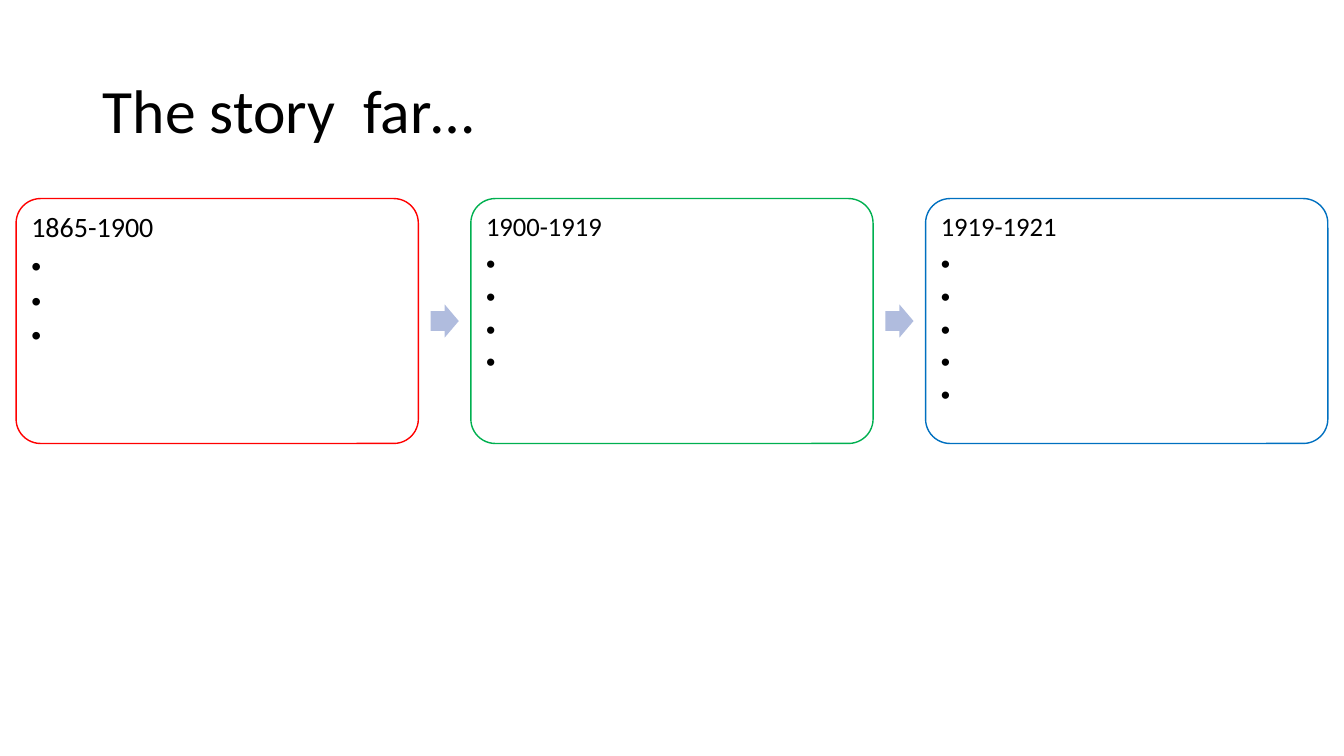
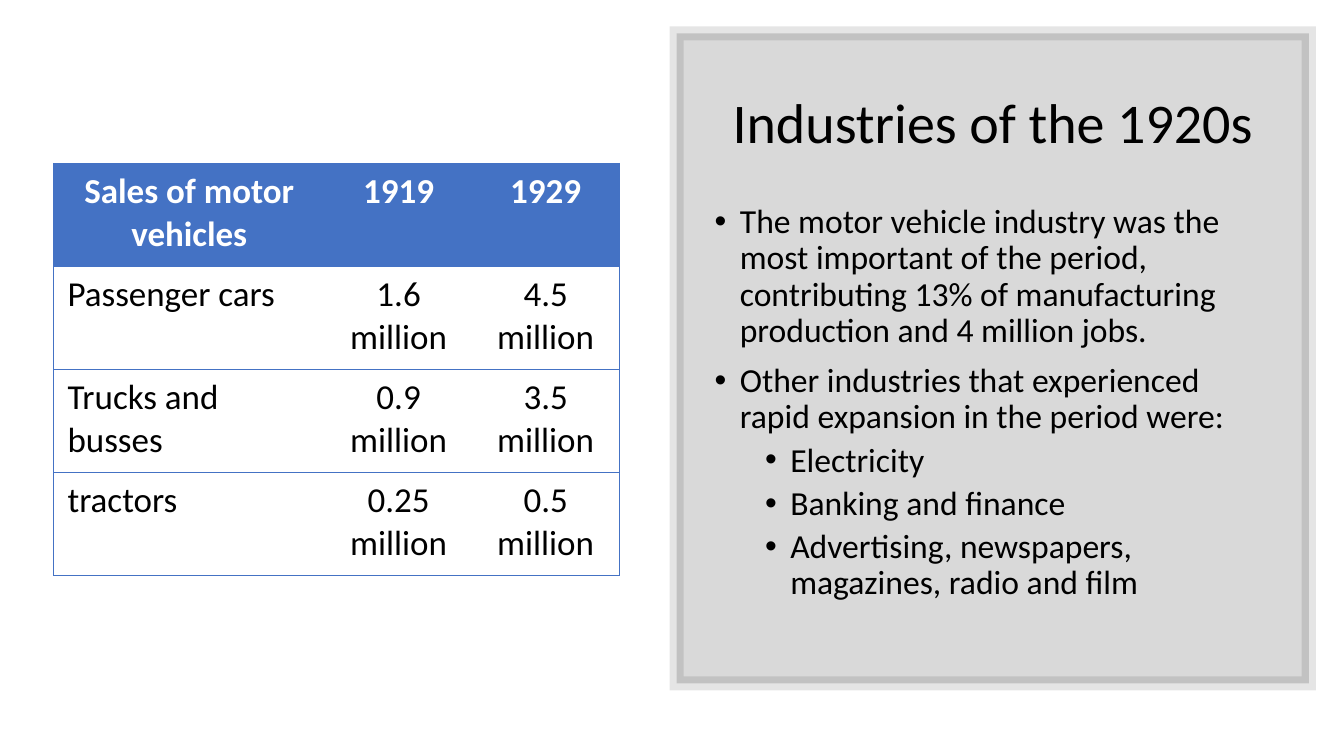
from dataclasses import dataclass
from typing import Any

import lxml.etree
import pptx
import pptx.dml.color
import pptx.enum.shapes
import pptx.enum.text
import pptx.oxml.ns
import pptx.util

WIDE = pptx.util.Inches(13.33)
HIGH = pptx.util.Inches(7.5)
FONT = "Calibri"
BLACK, WHITE, BLUE, PALE = "000000", "FFFFFF", "4472C4", "B0BCDE"
ALIGN = pptx.enum.text.PP_ALIGN
ANCHOR = pptx.enum.text.MSO_ANCHOR
SHAPE = pptx.enum.shapes.MSO_SHAPE
Inch = pptx.util.Inches
Pt = pptx.util.Pt
qn = pptx.oxml.ns.qn


@dataclass(frozen=True)
class Area:
    """A rectangle in percent of the slide's width and height."""
    left: float
    top: float
    width: float
    height: float

    def emu(self) -> tuple[int, int, int, int]:
        return (int(WIDE * self.left / 100), int(HIGH * self.top / 100),
                int(WIDE * self.width / 100), int(HIGH * self.height / 100))


@dataclass(frozen=True)
class Era:
    years: str
    color: str
    size: int
    points: int
    indent: float


@dataclass(frozen=True)
class Point:
    text: str
    level: int = 0


ERAS = [
    Era("1865-1900", "FF0000", 20, 3, 0.25),
    Era("1900-1919", "00B050", 19, 4, 0.19),
    Era("1919-1921", "0070C0", 19, 5, 0.19),
]
POINTS = [
    Point("The motor vehicle industry was the most important of the period, "
          "contributing 13% of manufacturing production and 4 million jobs."),
    Point("Other industries that experienced rapid expansion in the period were:"),
    Point("Electricity", 1),
    Point("Banking and finance", 1),
    Point("Advertising, newspapers, magazines, radio and film", 1),
]
SALES = [
    ("Sales of motor vehicles", "1919", "1929"),
    ("Passenger cars", "1.6 million", "4.5 million"),
    ("Trucks and busses", "0.9 million", "3.5 million"),
    ("tractors", "0.25 million", "0.5 million"),
]
SHARES = (0.48, 0.26, 0.26)


def rgb(color: str) -> pptx.dml.color.RGBColor:
    return pptx.dml.color.RGBColor.from_string(color)


def paint(fill: Any, color: str) -> None:
    fill.solid()
    fill.fore_color.rgb = rgb(color)


def style(para: Any, size: int, color: str = BLACK, bold: bool = False) -> None:
    for run in para.runs:
        run.font.name = FONT
        run.font.size = Pt(size)
        run.font.bold = bold
        run.font.color.rgb = rgb(color)


def bullet(para: Any, left: float, hang: float) -> None:
    props = para._p.get_or_add_pPr()
    props.set("marL", str(Inch(left)))
    props.set("indent", str(-Inch(hang)))
    lxml.etree.SubElement(props, qn("a:buFont"), typeface="Arial")
    lxml.etree.SubElement(props, qn("a:buChar"), char="•")


def inset(part: Any, side: float, end: float) -> None:
    """Set the inner margins of a text frame or a cell."""
    part.margin_left = part.margin_right = Inch(side)
    part.margin_top = part.margin_bottom = Inch(end)


def page(deck: Any, text: str, area: Area, size: int, align: Any) -> Any:
    """Add a title-only slide and set its title."""
    slide = deck.slides.add_slide(deck.slide_layouts[5])
    title = slide.shapes.title
    title.left, title.top, title.width, title.height = area.emu()
    frame = title.text_frame
    frame.text = text
    frame.auto_size = pptx.enum.text.MSO_AUTO_SIZE.NONE
    frame.vertical_anchor = ANCHOR.MIDDLE
    para = frame.paragraphs[0]
    para.alignment = align
    para.line_spacing = 0.9
    style(para, size)
    return slide


def form(slide: Any, kind: Any, area: Area) -> Any:
    shape = slide.shapes.add_shape(kind, *area.emu())
    shape.shadow.inherit = False
    return shape


def card(slide: Any, era: Era, area: Area) -> None:
    box = form(slide, SHAPE.ROUNDED_RECTANGLE, area)
    box.adjustments[0] = 0.1
    box.fill.background()
    box.line.color.rgb = rgb(era.color)
    box.line.width = Pt(1)
    frame = box.text_frame
    frame.word_wrap = True
    frame.vertical_anchor = ANCHOR.TOP
    inset(frame, 0.08, 0.08)
    frame.text = "\n".join([era.years] + [" "] * era.points)
    for row, para in enumerate(frame.paragraphs):
        if row:
            para.level = 1
            bullet(para, era.indent, era.indent)
        para.alignment = ALIGN.LEFT
        para.line_spacing = 0.9
        para.space_after = Pt(round(era.size * (0.15 if row else 0.35), 1))
        style(para, era.size)


def arrow(slide: Any, area: Area) -> None:
    shape = form(slide, SHAPE.RIGHT_ARROW, area)
    shape.adjustments[0] = 0.6
    shape.adjustments[1] = 0.5
    paint(shape.fill, PALE)
    shape.line.fill.background()


def story(deck: Any) -> None:
    slide = page(deck, "The story  far…", Area(6.9, 5.33, 86.25, 19.33),
                 44, ALIGN.LEFT)
    edge, top, width, height = 1.2, 26.27, 29.93, 32.4
    step = (100 - 2 * edge - width) / (len(ERAS) - 1)
    wide, high = 2.1, 4.4
    for col, era in enumerate(ERAS):
        left = edge + col * step
        if col:
            gap = step - width
            arrow(slide, Area(left - (gap + wide) / 2,
                              top + (height - high) / 2, wide, high))
        card(slide, era, Area(left, top, width, height))


def panel(slide: Any, area: Area) -> None:
    """Draw the see-through framed panel."""
    shape = form(slide, SHAPE.RECTANGLE, area)
    paint(shape.fill, BLACK)
    paint(shape.line.fill, BLACK)
    shape.line.width = Pt(10)
    line = shape._element.spPr.find(qn("a:ln"))
    lxml.etree.SubElement(line, qn("a:miter"), lim="800000")
    for color, alpha in zip(shape._element.spPr.iter(qn("a:srgbClr")), (15, 10)):
        lxml.etree.SubElement(color, qn("a:alpha"), val=str(alpha * 1000))


def notes(slide: Any, area: Area) -> None:
    frame = slide.shapes.add_textbox(*area.emu()).text_frame
    frame.word_wrap = True
    frame.text = "\n".join(point.text for point in POINTS)
    for row, (para, point) in enumerate(zip(frame.paragraphs, POINTS)):
        para.level = point.level
        bullet(para, 0.25 + 0.5 * point.level, 0.25)
        para.line_spacing = 0.9
        if row:
            para.space_before = Pt(5 if point.level else 10)
        style(para, 24)


def border(cell: Any, shown: dict[str, bool]) -> None:
    props = cell._tc.get_or_add_tcPr()
    for side, show in shown.items():
        line = lxml.etree.SubElement(props, qn(f"a:ln{side}"), w=str(Pt(0.5)))
        if show:
            fill = lxml.etree.SubElement(line, qn("a:solidFill"))
            lxml.etree.SubElement(fill, qn("a:srgbClr"), val=BLUE)
        else:
            lxml.etree.SubElement(line, qn("a:noFill"))


def sales(slide: Any, area: Area) -> None:
    grid = slide.shapes.add_table(len(SALES), len(SHARES), *area.emu()).table
    grid.first_row = grid.horz_banding = False
    width = area.emu()[2]
    for col, share in zip(grid.columns, SHARES):
        col.width = int(width * share)
    for row, texts in enumerate(SALES):
        head = row == 0
        for col, text in enumerate(texts):
            cell = grid.cell(row, col)
            border(cell, {"L": col == 0, "R": col == len(SHARES) - 1,
                          "T": True, "B": True})
            if head:
                paint(cell.fill, BLUE)
            else:
                cell.fill.background()
            inset(cell, 0.14, 0.07)
            cell.text_frame.text = text
            para = cell.text_frame.paragraphs[0]
            para.alignment = ALIGN.CENTER if head or col else ALIGN.LEFT
            style(para, 25, WHITE if head else BLACK, head)


def trade(deck: Any) -> None:
    slide = page(deck, "Industries of the 1920s",
                 Area(52.44, 6.8, 42.84, 19.6), 40, ALIGN.CENTER)
    panel(slide, Area(50.34, 4.4, 47.04, 86))
    back = slide.shapes[-1]._element
    slide.shapes.title._element.addprevious(back)
    notes(slide, Area(52.44, 26.4, 42.99, 59.47))
    sales(slide, Area(3.98, 21.6, 42.09, 54.53))


def main() -> None:
    deck = pptx.Presentation()
    deck.slide_width, deck.slide_height = WIDE, HIGH
    story(deck)
    trade(deck)
    deck.save("out.pptx")


if __name__ == "__main__":
    main()
